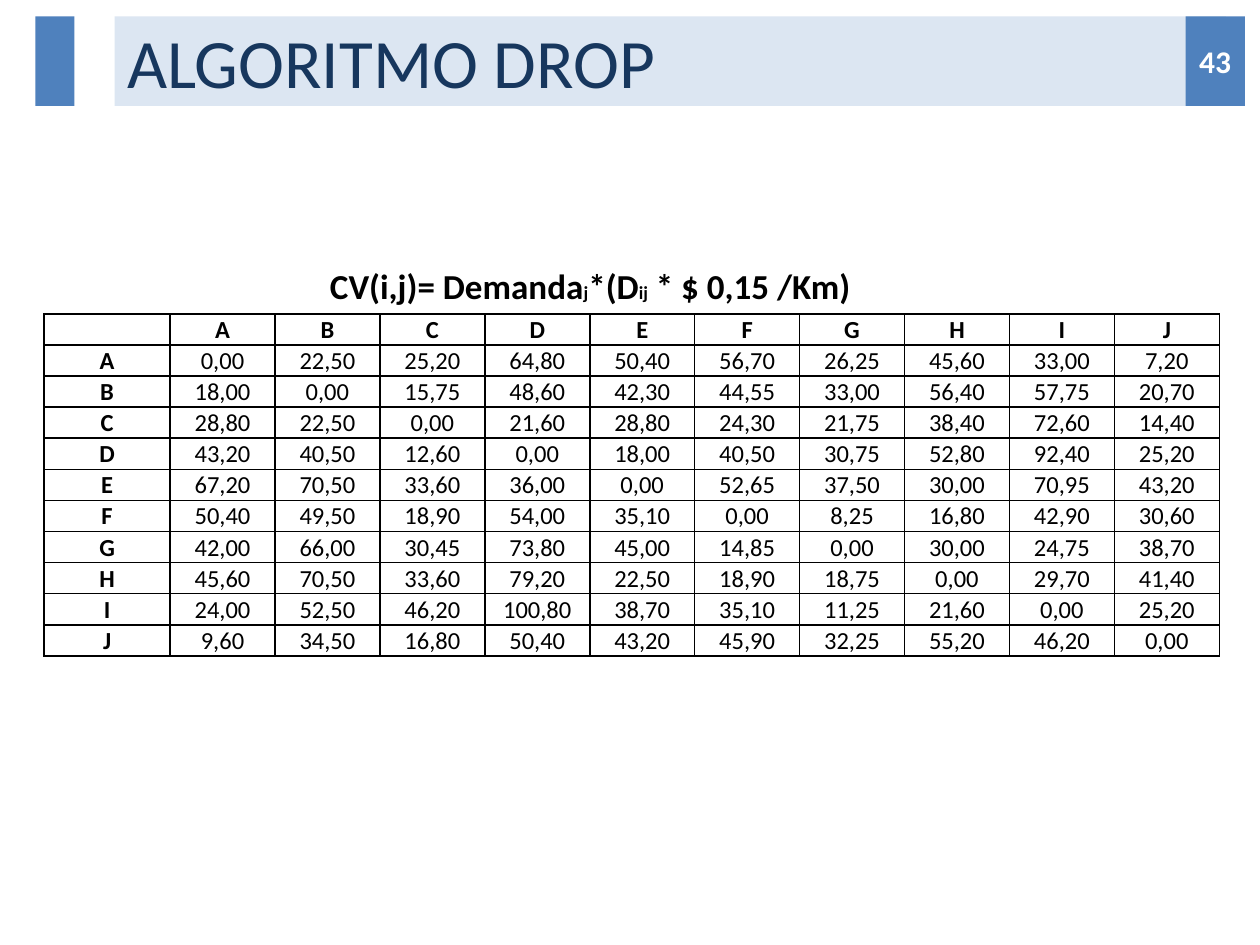
import pptx
import pptx.util
import pptx.dml.color
import pptx.enum.shapes
import pptx.enum.text
import pptx.oxml

# Content
TITLE = "ALGORITMO DROP"
PAGE = "43"
FORMULA = [("CV(i,j)= Demanda", 20), ("j", 10.5), ("*(D", 20),
           ("ij", 10.5), (" * $ 0,15 /Km)", 20)]
NODES = "ABCDEFGHIJ"
COSTS = [
    "0,00 22,50 25,20 64,80 50,40 56,70 26,25 45,60 33,00 7,20",
    "18,00 0,00 15,75 48,60 42,30 44,55 33,00 56,40 57,75 20,70",
    "28,80 22,50 0,00 21,60 28,80 24,30 21,75 38,40 72,60 14,40",
    "43,20 40,50 12,60 0,00 18,00 40,50 30,75 52,80 92,40 25,20",
    "67,20 70,50 33,60 36,00 0,00 52,65 37,50 30,00 70,95 43,20",
    "50,40 49,50 18,90 54,00 35,10 0,00 8,25 16,80 42,90 30,60",
    "42,00 66,00 30,45 73,80 45,00 14,85 0,00 30,00 24,75 38,70",
    "45,60 70,50 33,60 79,20 22,50 18,90 18,75 0,00 29,70 41,40",
    "24,00 52,50 46,20 100,80 38,70 35,10 11,25 21,60 0,00 25,20",
    "9,60 34,50 16,80 50,40 43,20 45,90 32,25 55,20 46,20 0,00",
]
GRID = [["", *NODES]] + [[n, *row.split()] for n, row in zip(NODES, COSTS)]

# Layout in inches
BAR_TOP, BAR_H = 0.13, 0.71
TABLE_X, TABLE_Y, TABLE_W = 0.35, 2.49, 9.33
HEAD_W, ROW_H = 1, 0.24

inch = pptx.util.Inches
ALIGN = pptx.enum.text.PP_ALIGN
ANCHOR = pptx.enum.text.MSO_ANCHOR


def paint(fill, hue):
    fill.solid()
    fill.fore_color.rgb = pptx.dml.color.RGBColor.from_string(hue)


def write(par, text, size, hue="000000", bold=False, align=ALIGN.CENTER):
    par.alignment = align
    run = par.add_run()
    run.text = text
    run.font.name = "Calibri"
    run.font.size = pptx.util.Pt(size)
    run.font.bold = bold
    paint(run.font.fill, hue)


def block(slide, left, width):
    shape = slide.shapes.add_shape(
        pptx.enum.shapes.MSO_SHAPE.RECTANGLE,
        inch(left), inch(BAR_TOP), inch(width), inch(BAR_H))
    shape.shadow.inherit = False
    paint(shape.fill, "4F81BD")
    shape.line.fill.background()
    return shape


def border(cell):
    props = cell._tc.get_or_add_tcPr()
    for spot, side in enumerate(("lnL", "lnR", "lnT", "lnB")):
        props.insert(spot, pptx.oxml.parse_xml(
            f'<a:{side} xmlns:a="http://schemas.openxmlformats.org/drawingml/2006/main"'
            ' w="12700"><a:solidFill><a:srgbClr val="000000"/></a:solidFill>'
            f'</a:{side}>'))


def main():
    deck = pptx.Presentation()
    deck.slide_width, deck.slide_height = inch(10), inch(7.5)
    slide = deck.slides.add_slide(deck.slide_layouts[5])

    # Title bar
    title = slide.shapes.title
    title.left, title.top = inch(0.91), inch(BAR_TOP)
    title.width, title.height = inch(8.82), inch(BAR_H)
    paint(title.fill, "DCE6F2")
    frame = title.text_frame
    frame.auto_size = pptx.enum.text.MSO_AUTO_SIZE.NONE
    frame.vertical_anchor = ANCHOR.MIDDLE
    write(frame.paragraphs[0], TITLE, 39.6, "17375E", align=ALIGN.LEFT)

    # Accent block and page number
    block(slide, 0.28, 0.31)
    frame = block(slide, 9.41, 0.47).text_frame
    frame.margin_left = frame.margin_right = 0
    frame.vertical_anchor = ANCHOR.MIDDLE
    write(frame.paragraphs[0], PAGE, 18, "FFFFFF", True)

    # Cost table
    count = len(GRID)
    table = slide.shapes.add_table(
        count, count, inch(TABLE_X), inch(TABLE_Y),
        inch(TABLE_W), inch(ROW_H * count)).table
    for i, col in enumerate(table.columns):
        col.width = inch((TABLE_W - HEAD_W) / len(NODES) if i else HEAD_W)
    for r, line in enumerate(GRID):
        table.rows[r].height = inch(ROW_H)
        for c, text in enumerate(line):
            cell = table.cell(r, c)
            cell.margin_left = cell.margin_right = cell.margin_top = inch(0.01)
            cell.margin_bottom = 0
            cell.vertical_anchor = ANCHOR.MIDDLE
            cell.fill.background()
            border(cell)
            par = cell.text_frame.paragraphs[0]
            if text:
                write(par, text, 14, bold=r == 0 or c == 0)
            else:
                par.font.size = pptx.util.Pt(14)

    # Formula above the table
    frame = slide.shapes.add_textbox(
        inch(-0.12), inch(2.1), inch(9.61), inch(0.63)).text_frame
    frame.word_wrap = True
    frame.margin_top = 0
    frame.vertical_anchor = ANCHOR.TOP
    for text, size in FORMULA:
        write(frame.paragraphs[0], text, size, bold=True)

    deck.save("out.pptx")


if __name__ == "__main__":
    main()
